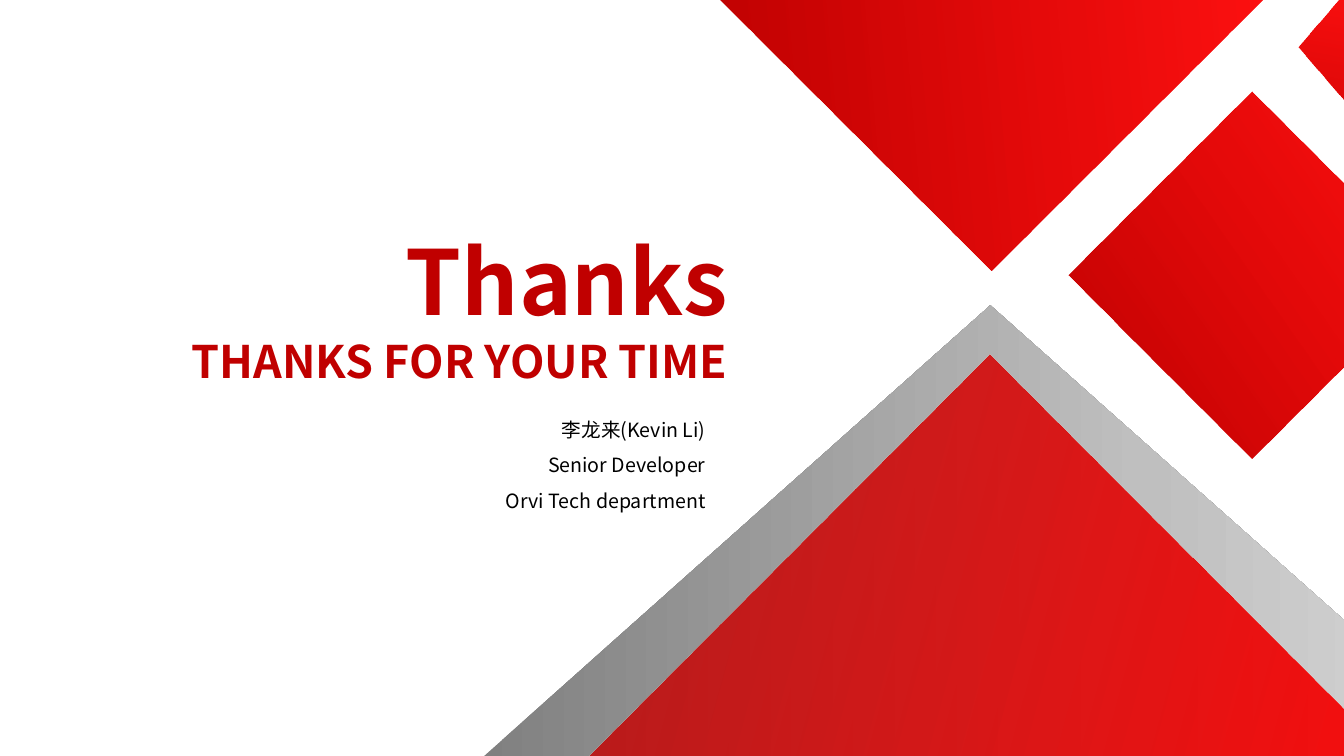
from dataclasses import dataclass

from lxml import etree
from pptx import Presentation
from pptx.dml.color import RGBColor
from pptx.enum import shapes, text
from pptx.oxml import ns
from pptx.util import Pt

FONT = "Noto Sans CJK SC"
DARK_RED, BRIGHT_RED = "C00000", "FF0000"


@dataclass
class Stop:
    position: int
    color: str
    opacity: int = 100


@dataclass
class Panel:
    kind: shapes.MSO_SHAPE
    left: float
    top: float
    width: float
    height: float
    rotation: float
    stops: list[Stop]
    angle: int


GRAYS = [Stop(0, "808080"), Stop(65, "BFBFBF"), Stop(100, "D9D9D9")]
REDS = [Stop(0, DARK_RED), Stop(100, BRIGHT_RED, 94)]
SHEER_REDS = [Stop(0, DARK_RED, 79), Stop(100, BRIGHT_RED, 94)]

PANELS = [
    Panel(shapes.MSO_SHAPE.ISOSCELES_TRIANGLE, 343.44, 218.16, 727.92, 324, 0, GRAYS, 0),
    Panel(shapes.MSO_SHAPE.RIGHT_TRIANGLE, 503.28, 337.68, 408.24, 409.68, 135, SHEER_REDS, 240),
    Panel(shapes.MSO_SHAPE.RIGHT_TRIANGLE, 568.8, -142.56, 277.92, 278.64, 315, REDS, 40),
    Panel(shapes.MSO_SHAPE.RECTANGLE, 801.36, 103.68, 185.76, 185.76, 45, REDS, 280),
]
CORNER = [(963.36, -7.92), (1029.6, -7.92), (1029.6, 152.64), (927.36, 33.84)]


def rgb(color: str) -> RGBColor:
    return RGBColor.from_string(color)


def paint(shape, stops: list[Stop], angle: int) -> None:
    """Fill a shape with a linear gradient, its angle in clockwise degrees."""
    shape.shadow.inherit = False
    shape.line.fill.background()
    shape.fill.gradient()
    gradient = shape.fill._fill._gradFill
    gradient.set("rotWithShape", "1")
    stop_list = gradient.find(ns.qn("a:gsLst"))
    for sample in list(stop_list):
        stop_list.remove(sample)
    for stop in stops:
        entry = etree.SubElement(stop_list, ns.qn("a:gs"), pos=str(stop.position * 1000))
        color = etree.SubElement(entry, ns.qn("a:srgbClr"), val=stop.color)
        if stop.opacity < 100:
            etree.SubElement(color, ns.qn("a:alpha"), val=str(stop.opacity * 1000))
    gradient.find(ns.qn("a:lin")).set("ang", str(angle * 60000))


def add_panel(slide, panel: Panel) -> None:
    shape = slide.shapes.add_shape(
        panel.kind, Pt(panel.left), Pt(panel.top), Pt(panel.width), Pt(panel.height))
    shape.rotation = panel.rotation
    paint(shape, panel.stops, panel.angle)


def write_lines(frame, lines: list[str], sizes: list[int], color: str,
                bold: bool, spacing: float) -> None:
    """Write right-aligned lines, one paragraph each."""
    frame.word_wrap = True
    frame.vertical_anchor = text.MSO_ANCHOR.TOP
    frame.auto_size = text.MSO_AUTO_SIZE.SHAPE_TO_FIT_TEXT
    frame.text = "\n".join(lines)
    for paragraph, size in zip(frame.paragraphs, sizes):
        paragraph.alignment = text.PP_ALIGN.RIGHT
        paragraph.line_spacing = spacing
        for run in paragraph.runs:
            run.font.name = FONT
            run.font.size = Pt(size)
            run.font.bold = bold
            run.font.color.rgb = rgb(color)
            etree.SubElement(run.font._element, ns.qn("a:ea"), typeface=FONT)


def main() -> None:
    prs = Presentation()
    prs.slide_width, prs.slide_height = Pt(960), Pt(540)
    slide = prs.slides.add_slide(prs.slide_layouts[5])

    # Geometric panels
    for panel in PANELS:
        add_panel(slide, panel)

    # Clipped diamond in the top right corner
    points = [(Pt(x), Pt(y)) for x, y in CORNER]
    builder = slide.shapes.build_freeform(*points[0])
    builder.add_line_segments(points[1:], close=True)
    paint(builder.convert_to_shape(), REDS, 280)

    # Closing words
    thanks = slide.shapes.title
    thanks.left, thanks.top = Pt(48.96), Pt(157.68)
    thanks.width, thanks.height = Pt(478.08), Pt(123.84)
    write_lines(thanks.text_frame, ["Thanks", "THANKS FOR YOUR TIME"],
                [64, 32], DARK_RED, True, 1.0)

    # Speaker details
    speaker = slide.shapes.add_textbox(Pt(118.08), Pt(286.56), Pt(393.12), Pt(83.52))
    write_lines(speaker.text_frame,
                ["李龙来(Kevin Li)", "Senior Developer", "Orvi Tech department"],
                [14] * 3, "000000", False, 1.5)

    prs.save("out.pptx")


if __name__ == "__main__":
    main()
